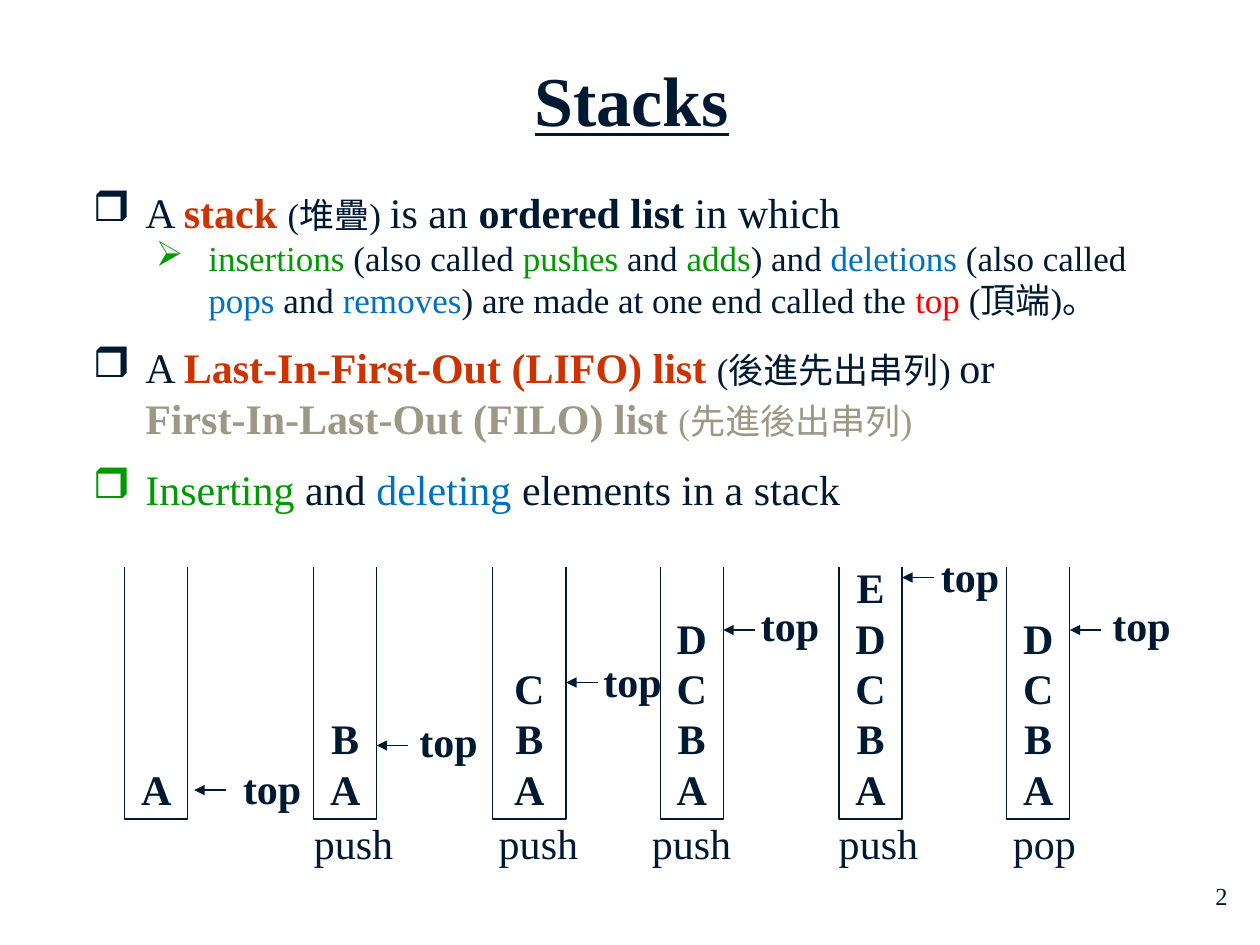
import pptx
import pptx.dml.color
import pptx.enum.dml
import pptx.enum.shapes
import pptx.enum.text
import pptx.oxml
import pptx.oxml.ns
import pptx.util
from lxml import etree

Pt = pptx.util.Pt
ALIGN = pptx.enum.text.PP_ALIGN
ANCHOR = pptx.enum.text.MSO_ANCHOR

FONT = "Times New Roman"
INK = "001932"
RUST = "CC3300"
GREEN = "009900"
BLUE = "0070C0"
RED = "FF0000"
GREY = "9B9886"

STACK_TOP = 324
STACK_BOTTOM = 468
ARROW_LENGTH = 18

# (level, space before, spans); a span is (text, colour, size, bold)
POINTS = [
    (0, 0, [("A ", INK, 24, False), ("stack ", RUST, 24, True),
            ("(堆疊) ", INK, 20, False), ("is an ", INK, 24, False),
            ("ordered list ", INK, 24, True), ("in which", INK, 24, False)]),
    (1, 0, [("insertions ", GREEN, 20, False), ("(also called ", INK, 20, False),
            ("pushes", GREEN, 20, False), (" and ", INK, 20, False),
            ("adds", GREEN, 20, False), (") and ", INK, 20, False),
            ("deletions", BLUE, 20, False), (" (also called ", INK, 20, False),
            ("pops", BLUE, 20, False), (" and ", INK, 20, False),
            ("removes", BLUE, 20, False),
            (") are made at one end called the ", INK, 20, False),
            ("top", RED, 20, False), (" (頂端)。", INK, 20, False)]),
    (0, 12, [("A ", INK, 24, False), ("Last-In-First-Out (LIFO) list ", RUST, 24, True),
             ("(後進先出串列) ", INK, 20, False), ("or\n", INK, 24, False),
             ("First-In-Last-Out (FILO) list ", GREY, 24, True),
             ("(先進後出串列)", GREY, 20, False)]),
    (0, 12, [("Inserting ", GREEN, 24, False), ("and ", INK, 24, False),
             ("deleting", BLUE, 24, False), (" elements in a stack", INK, 24, False)]),
]

# left, width, letters, arrow tip (x, y), label (x, y), caption, caption left
STACKS = [
    (71.3, 36, "A", (111, 451.5), (131.8, 432), None, None),
    (179.3, 36, "BA", (215.3, 426), (232.6, 405.4), "push", 172.2),
    (281.5, 42, "CBA", (323.5, 390), (337.7, 370.8), "push", 277.9),
    (377.3, 36, "DCBA", (413.3, 360), (427.7, 339.1), "push", 365.4),
    (479.5, 36, "EDCBA", (515.5, 330), (530.6, 311), "push", 472.2),
    (575.3, 36, "DCBA", (611.3, 360), (628.6, 339.1), "pop", 571.7),
]


def colour(value):
    return pptx.dml.color.RGBColor.from_string(value)


def format_font(font, size, bold=False, value=INK):
    font.name = FONT
    font.size = Pt(size)
    font.bold = bold
    font.color.rgb = colour(value)


def format_line(line):
    line.color.rgb = colour(INK)
    line.width = Pt(0.75)


def format_para(para, size, bold=False, align=ALIGN.LEFT):
    para.alignment = align
    para.line_spacing = Pt(size * 1.2)
    para.space_before = Pt(0)
    format_font(para.font, size, bold)


def add_text(page, text, left, top, width, height, size=24, bold=False,
             align=ALIGN.LEFT, wrap=False):
    box = page.shapes.add_textbox(Pt(left), Pt(top), Pt(width), Pt(height))
    box.text_frame.word_wrap = wrap
    para = box.text_frame.paragraphs[0]
    para.text = text
    format_para(para, size, bold, align)


def set_title(page, text):
    title = page.shapes.title
    title.left, title.top = Pt(56.2), Pt(28.8)
    title.width, title.height = Pt(609.8), Pt(55.4)
    title.text_frame.vertical_anchor = ANCHOR.MIDDLE
    para = title.text_frame.paragraphs[0]
    para.text = text
    format_para(para, 40, True, ALIGN.CENTER)
    para.font.underline = True


def add_bullet(para, level):
    properties = para._p.get_or_add_pPr()
    properties.set("marL", str(Pt((30, 66)[level])))
    properties.set("indent", str(-Pt(30)))
    bullet = etree.SubElement(properties, pptx.oxml.ns.qn("a:buChar"))
    bullet.set("char", "❒➢"[level])


def add_points(page):
    box = page.shapes.add_textbox(Pt(46), Pt(103), Pt(632), Pt(196.6))
    frame = box.text_frame
    frame.word_wrap = True
    for index, (level, gap, spans) in enumerate(POINTS):
        para = frame.add_paragraph() if index else frame.paragraphs[0]
        para.level = level
        add_bullet(para, level)
        para.line_spacing = Pt((28.8, 24)[level])
        para.space_before = Pt(gap)
        para.font.name = FONT
        for text, value, size, bold in spans:
            span = para.add_run()
            span.text = text.rstrip("\n")
            format_font(span.font, size, bold, value)
            if text.endswith("\n"):
                para.add_line_break()


def add_stack(page, left, width, letters):
    right = left + width
    builder = page.shapes.build_freeform(Pt(left), Pt(STACK_TOP))
    builder.add_line_segments(
        [(Pt(left), Pt(STACK_BOTTOM)), (Pt(right), Pt(STACK_BOTTOM)),
         (Pt(right), Pt(STACK_TOP))], close=False)
    stack = builder.convert_to_shape()
    stack.shadow.inherit = False
    stack.fill.background()
    format_line(stack.line)
    frame = stack.text_frame
    frame.word_wrap = False
    frame.vertical_anchor = ANCHOR.BOTTOM
    frame.margin_top = Pt(0)
    frame.margin_bottom = Pt(3)
    frame.text = "\n".join(letters)
    for para in frame.paragraphs:
        format_para(para, 24, True, ALIGN.CENTER)


def add_arrow(page, tip, height):
    arrow = page.shapes.add_connector(
        pptx.enum.shapes.MSO_CONNECTOR.STRAIGHT,
        Pt(tip + ARROW_LENGTH), Pt(height), Pt(tip), Pt(height))
    format_line(arrow.line)
    head = etree.SubElement(arrow.line._get_or_add_ln(), pptx.oxml.ns.qn("a:tailEnd"))
    head.set("type", "triangle")
    etree.SubElement(arrow._element.spPr, pptx.oxml.ns.qn("a:effectLst"))


def main():
    deck = pptx.Presentation()
    deck.slide_width, deck.slide_height = Pt(720), Pt(540)
    page = deck.slides.add_slide(deck.slide_layouts[5])
    set_title(page, "Stacks")
    add_points(page)
    for left, width, letters, tip, label, caption, caption_left in STACKS:
        add_stack(page, left, width, letters)
        add_arrow(page, *tip)
        add_text(page, "top", *label, 47.5, 36, bold=True)
        if caption:
            add_text(page, caption, caption_left, 463.7, 60, 36)
    add_text(page, "2", 558.7, 499.7, 149.8, 36, size=14, align=ALIGN.RIGHT, wrap=True)
    deck.save("out.pptx")


if __name__ == "__main__":
    main()
